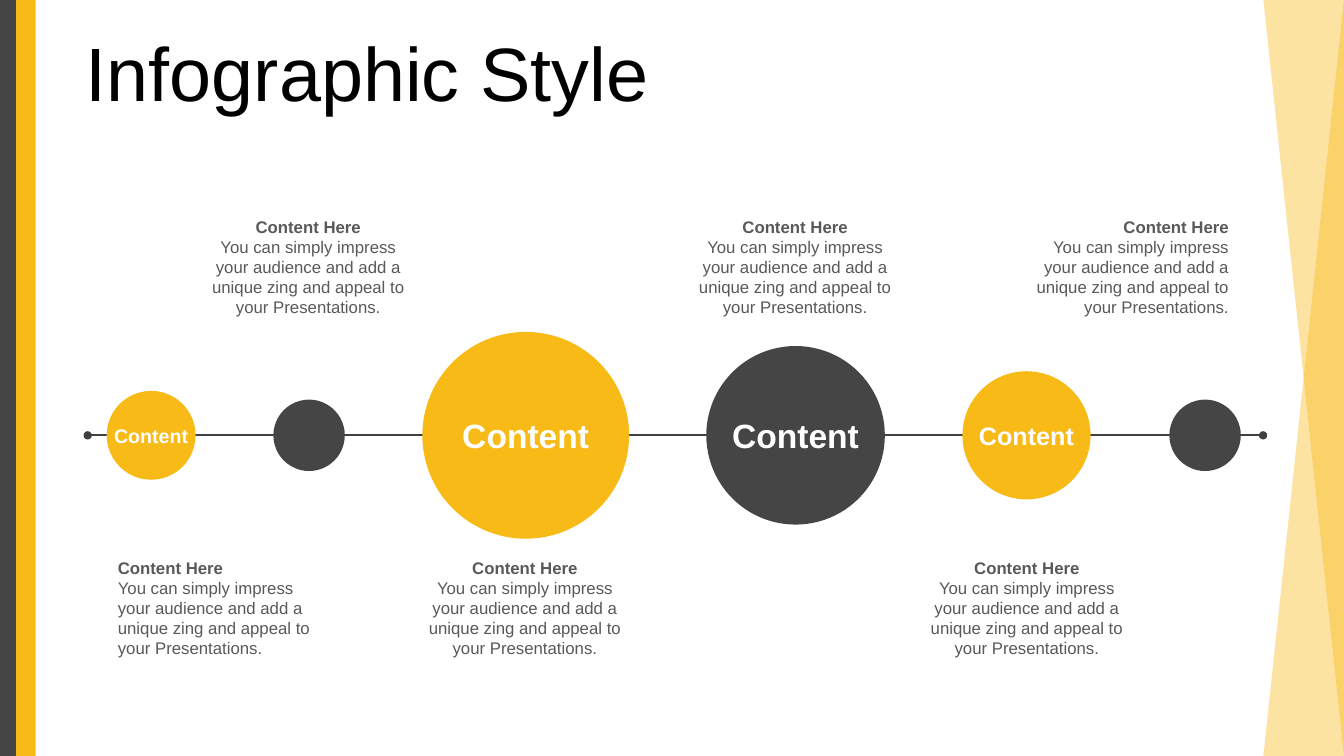
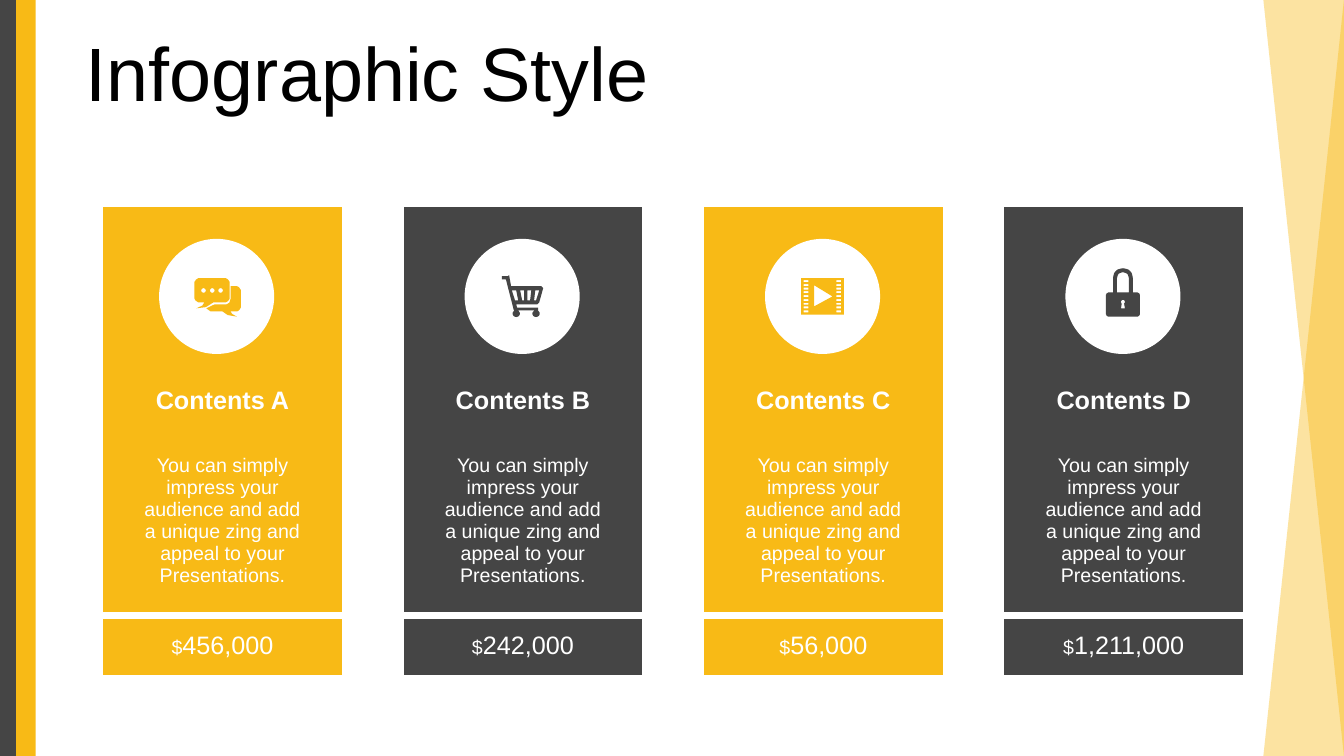
from math import cos, radians, sin

from lxml.etree import SubElement
from pptx import Presentation
from pptx.dml.color import RGBColor
from pptx.enum.shapes import MSO_CONNECTOR, MSO_SHAPE
from pptx.enum.text import MSO_ANCHOR, MSO_AUTO_SIZE, PP_ALIGN
from pptx.oxml import parse_xml
from pptx.oxml.ns import nsdecls, qn
from pptx.util import Cm, Pt

COLORS = {
    "yellow": "F8BA16",
    "dark": "454545",
    "axis": "404040",
    "grey": "595959",
    "white": "FFFFFF",
    "black": "000000",
}
PITCH = ("You can simply impress your audience and add a unique zing "
         "and appeal to your Presentations.")


def write(paragraph, text, color, **style):
    font = paragraph.add_run()
    font.text = text
    font = font.font
    for name, value in {"name": "Arial", **style}.items():
        setattr(font, name, value)
    font.color.rgb = RGBColor.from_string(COLORS[color])


def arc(x, y, radius, start=0, sweep=360):
    angles = [radians(start + sweep * step / 12) for step in range(13)]
    return [(round(x + radius * cos(a)), round(y + radius * sin(a))) for a in angles]


deck = Presentation()
deck.slide_width, deck.slide_height = Cm(33.87), Cm(19.05)
layout = deck.slide_layouts[5]
for footer in list(layout.placeholders)[1:]:
    footer.element.getparent().remove(footer.element)

timeline, pricing = [deck.slides.add_slide(layout) for _ in range(2)]
for slide in (timeline, pricing):
    title = slide.shapes.title
    title.left, title.top, title.width, title.height = Cm(1.91), Cm(0.94), Cm(31.14), Cm(2.01)
    frame = title.text_frame
    frame.auto_size = MSO_AUTO_SIZE.NONE
    frame.vertical_anchor = MSO_ANCHOR.MIDDLE
    heading = frame.paragraphs[0]
    heading.alignment, heading.line_spacing = PP_ALIGN.LEFT, 0.9
    write(heading, "Infographic Style", "black", size=Pt(54))

painted = []
bands = [
    (MSO_SHAPE.RIGHT_TRIANGLE, 31.84, 2.03, "yellow", 40, ("flipH", "flipV")),
    (MSO_SHAPE.RECTANGLE, 0, 0.48, "dark", 100, ()),
    (MSO_SHAPE.RECTANGLE, 0.41, 0.49, "yellow", 100, ()),
    (MSO_SHAPE.RIGHT_TRIANGLE, 31.84, 2.03, "yellow", 40, ("flipH",)),
]
for order, (kind, left, width, color, opacity, flips) in enumerate(bands):
    band = timeline.shapes.add_shape(kind, Cm(left), 0, Cm(width), deck.slide_height)
    for flip in flips:
        band.element.spPr.find(qn("a:xfrm")).set(flip, "1")
    layout.shapes.element.insert(2 + order, band.element)
    painted.append((band, color, opacity))

AXIS_Y = 10.97
axis = timeline.shapes.add_connector(
    MSO_CONNECTOR.STRAIGHT, Cm(2.21), Cm(AXIS_Y), Cm(31.83), Cm(AXIS_Y))
axis.line.width = Pt(1.5)
axis.line.color.rgb = RGBColor.from_string(COLORS["axis"])
for end in ("a:headEnd", "a:tailEnd"):
    SubElement(axis.line._get_or_add_ln(), qn(end), type="oval")
SubElement(axis.element.spPr, qn("a:effectLst"))

nodes = [
    (3.81, 2.24, "yellow", 14),
    (7.79, 1.8, "dark", None),
    (13.25, 5.21, "yellow", 24),
    (20.05, 4.5, "dark", 24),
    (25.87, 3.23, "yellow", 18),
    (30.37, 1.8, "dark", None),
]
for center, diameter, color, size in nodes:
    node = timeline.shapes.add_shape(
        MSO_SHAPE.OVAL, Cm(center - diameter / 2), Cm(AXIS_Y - diameter / 2),
        Cm(diameter), Cm(diameter))
    painted.append((node, color, 100))
    if size:
        node.text_frame.word_wrap = False
        node.text_frame.vertical_anchor = MSO_ANCHOR.MIDDLE
        label = node.text_frame.paragraphs[0]
        label.alignment = PP_ALIGN.CENTER
        write(label, "Content", "white", size=Pt(size), bold=True)

ABOVE, BELOW = 5.33, 13.92
captions = [
    (2.72, BELOW, PP_ALIGN.LEFT),
    (4.9, ABOVE, PP_ALIGN.CENTER),
    (10.36, BELOW, PP_ALIGN.CENTER),
    (17.17, ABOVE, PP_ALIGN.CENTER),
    (23.01, BELOW, PP_ALIGN.CENTER),
    (25.48, ABOVE, PP_ALIGN.RIGHT),
]
for left, top, alignment in captions:
    caption = timeline.shapes.add_textbox(Cm(left), Cm(top), Cm(5.74), Cm(2.79)).text_frame
    caption.word_wrap = True
    heading, body = caption.paragraphs[0], caption.add_paragraph()
    heading.alignment = body.alignment = alignment
    write(heading, "Content Here", "grey", size=Pt(12), bold=True)
    write(body, PITCH, "grey", size=Pt(12))

chat = [
    arc(102, 112, 13, 180, 90) + arc(165, 112, 13, 270, 90) + arc(165, 147, 13, 0, 90)
    + [(137, 160), (118, 172), (94, 175), (109, 168), (114, 160)]
    + arc(102, 147, 13, 90, 90),
    [(180, 119)] + arc(193, 132, 13, 270, 90) + arc(193, 170, 13, 0, 90)
    + [(180, 183), (184, 189), (196, 196), (173, 192), (160, 183), (130, 183),
       (119, 175), (140, 165), (170, 165), (177, 161), (180, 152)],
] + [arc(x, 130, 6) for x in (112, 134, 155)]
cart = [
    [(112, 91), (117, 119), (193, 119), (198, 124), (188, 160), (183, 165),
     (130, 165), (132, 173), (185, 173), (185, 180)]
    + arc(180, 188, 9, -60, 300) + arc(130, 188, 9, -60, 300)
    + [(124, 180), (104, 102), (94, 102), (94, 94), (109, 94)],
    [(178, 130), (175, 155), (180, 155), (188, 130)],
    [(158, 130), (158, 155), (165, 155), (168, 130)],
    [(140, 130), (145, 155), (150, 155), (150, 130)],
    [(119, 130), (127, 155), (135, 155), (130, 130)],
]
film = [
    [(91, 99), (199, 99), (199, 191), (91, 191)],
    [(124, 117), (124, 170), (170, 145)],
] + [
    [(x, y), (x + 12, y), (x + 12, y + 5), (x, y + 5)]
    for x in (97, 180) for y in [round(104 + 9.5 * row) for row in range(9)]
]
lock = [
    arc(145, 99, 25, 180, 180) + [(170, 135)]
    + arc(180, 143, 8, 270, 90) + arc(180, 188, 8, 0, 90)
    + arc(110, 188, 8, 90, 90) + arc(110, 143, 8, 180, 90) + [(120, 135)],
    arc(145, 99, 15, 180, 180) + [(160, 135), (130, 135)],
    arc(145, 159, 5, 120, 300) + [(150, 175), (140, 175)],
]

cards = [
    ("Contents A", "456,000", "yellow", 4.01, chat),
    ("Contents B", "242,000", "dark", 11.71, cart),
    ("Contents C", "56,000", "yellow", 19.28, film),
    ("Contents D", "1,211,000", "dark", 26.85, lock),
]
COLUMNS, ROWS = (0.6, 4.8, 0.6), (4.4, 1.1, 4.8, 1.5)
BADGE_TOP = 6.02
for index, (name, price, color, badge_left, icon) in enumerate(cards):
    card = pricing.shapes.add_table(
        4, 3, Cm(2.6 + 7.57 * index), Cm(5.21), Cm(sum(COLUMNS)), Cm(sum(ROWS))).table
    card.first_row = card.horz_banding = False
    card._tbl.tblPr.find(qn("a:tableStyleId")).text = "{2D5ABB26-0587-4C30-8999-92F81FD0307C}"
    for column, width in zip(card.columns, COLUMNS):
        column.width = Cm(width)
    for row, height in zip(card.rows, ROWS):
        row.height = Cm(height)
    for cell in card.iter_cells():
        cell.fill.solid()
        cell.fill.fore_color.rgb = RGBColor.from_string(COLORS[color])
    for row, side in ((2, "lnB"), (3, "lnT")):
        for cell in card.rows[row].cells:
            cell._tc.get_or_add_tcPr().insert(0, parse_xml(
                f'<a:{side} {nsdecls("a")} w="{Pt(6)}"><a:solidFill>'
                f'<a:srgbClr val="{COLORS["white"]}"/></a:solidFill></a:{side}>'))
    for row in (0, 1, 3):
        card.cell(row, 0).merge(card.cell(row, 2))
    texts = [
        (1, 0, MSO_ANCHOR.TOP, [(name, 18, True)]),
        (2, 1, MSO_ANCHOR.MIDDLE, [(PITCH, 14, False)]),
        (3, 0, MSO_ANCHOR.MIDDLE, [("$", 14, False), (price, 18, False)]),
    ]
    for row, column, anchor, runs in texts:
        cell = card.cell(row, column)
        cell.vertical_anchor = anchor
        line = cell.text_frame.paragraphs[0]
        line.alignment = PP_ALIGN.CENTER
        for text, size, bold in runs:
            write(line, text, "white", size=Pt(size), bold=bold)

    badge = pricing.shapes.add_shape(
        MSO_SHAPE.OVAL, Cm(badge_left), Cm(BADGE_TOP), Cm(2.9), Cm(2.9))
    outline = pricing.shapes.build_freeform(*icon[0][0], scale=Cm(0.01))
    for contour in icon:
        outline.move_to(*contour[0])
        outline.add_line_segments(contour[1:], close=True)
    symbol = outline.convert_to_shape(Cm(badge_left), Cm(BADGE_TOP))
    painted += [(badge, "white", 100), (symbol, color, 100)]

for shape, color, opacity in painted:
    shape.shadow.inherit = False
    shape.line.fill.background()
    shape.fill.solid()
    shape.fill.fore_color.rgb = RGBColor.from_string(COLORS[color])
    if opacity < 100:
        tint = shape.element.spPr.find(qn("a:solidFill")).find(qn("a:srgbClr"))
        SubElement(tint, qn("a:alpha"), val=str(opacity * 1000))

deck.save("out.pptx")
